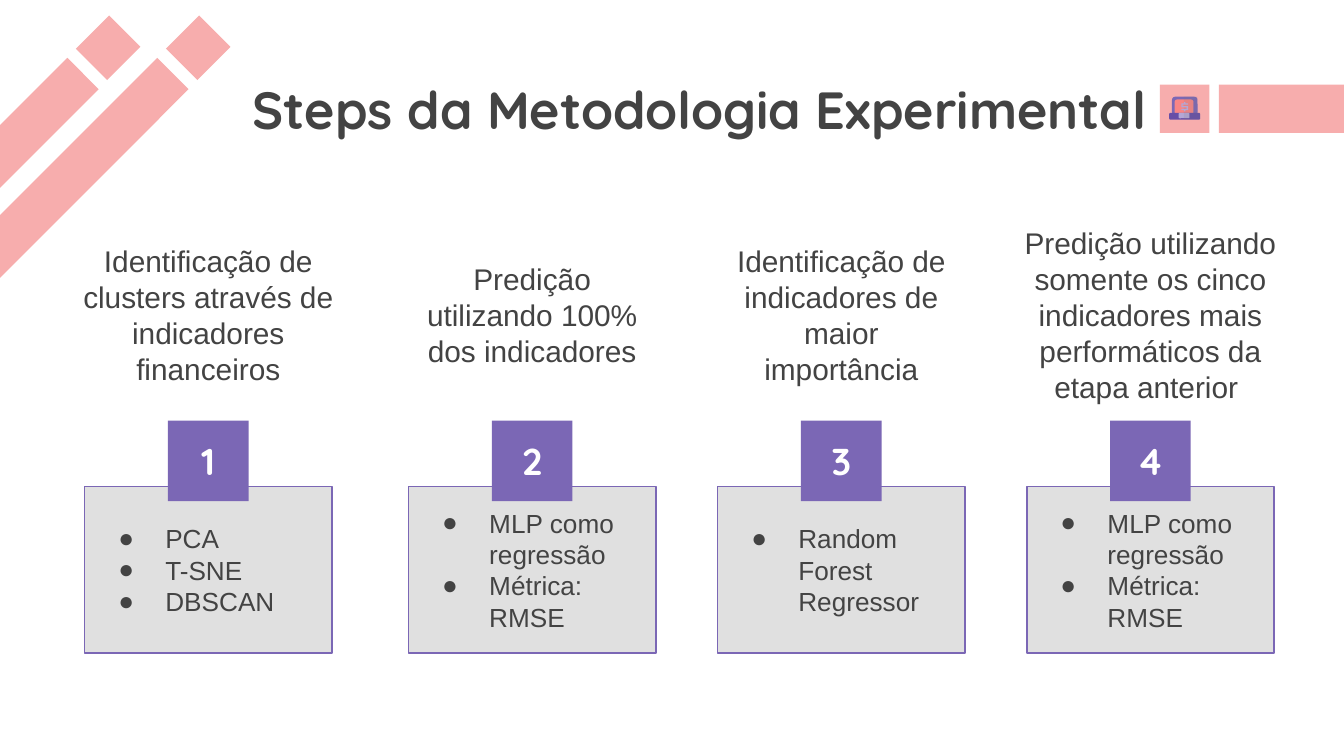
from lxml.etree import SubElement
from pptx import Presentation
from pptx.dml.color import RGBColor
from pptx.enum.shapes import MSO_SHAPE
from pptx.enum.text import MSO_ANCHOR, MSO_AUTO_SIZE, PP_ALIGN
from pptx.oxml.ns import qn
from pptx.util import Inches, Pt

PINK, PURPLE, GRAY = "F7ADAD", "7B67B5", "E0E0E0"
TEXT, WHITE, SHADE = "434343", "FFFFFF", "7B7B7B"

TITLE = "Steps da Metodologia Experimental"
# box left, caption width, caption, methods
STEPS = [
    (0.63, 2.07, "Identificação de clusters através de indicadores financeiros",
     ["PCA", "T-SNE", "DBSCAN"]),
    (3.04, 2.06, "Predição utilizando 100% dos indicadores",
     ["MLP como regressão", "Métrica: RMSE"]),
    (5.34, 1.84, "Identificação de indicadores de maior importância",
     ["Random Forest Regressor"]),
    (7.64, 2.3, "Predição utilizando somente os cinco indicadores mais performáticos da etapa anterior ",
     ["MLP como regressão", "Métrica: RMSE"]),
]
BOX_WIDTH, BADGE_SIZE = 1.84, 0.6

# left, top, width, height, rotation
BARS = [
    (1.3, 0.19, 0.35, 0.33, 315),
    (-1.29, 1.45, 3.02, 0.33, 315),
    (0.63, 0.19, 0.35, 0.33, 315),
    (-1.96, 1.45, 3.02, 0.33, 315),
    (9.07, 0.63, 0.93, 0.36, 0),
    (8.63, 0.63, 0.37, 0.36, 0),
]
# left, top, width, height, fill
LAPTOP_CENTER = 8.81
LAPTOP = [
    (8.72, 0.72, 0.19, 0.14, PURPLE),
    (8.74, 0.74, 0.14, 0.11, "F98585"),
    (8.7, 0.84, 0.23, 0.05, "674EA7"),
    (8.77, 0.84, 0.08, 0.04, "B4A7D6"),
]
# hundredths of an inch
COIN_SIGN = [
    (881, 76), (882, 76), (882, 77), (884, 77), (884, 78), (880, 78), (880, 79),
    (884, 79), (884, 82), (882, 82), (882, 83), (881, 83), (881, 82), (879, 82),
    (879, 81), (883, 81), (883, 80), (879, 80), (879, 77), (881, 77),
]


def color(value):
    return RGBColor.from_string(value)


def place(shape, left, top, width, height):
    shape.left, shape.top = Inches(left), Inches(top)
    shape.width, shape.height = Inches(width), Inches(height)


def paint(shape, fill):
    shape.shadow.inherit = False
    shape.fill.solid()
    shape.fill.fore_color.rgb = color(fill)
    shape.line.fill.background()


def add_block(slide, kind, left, top, width, height, fill):
    block = slide.shapes.add_shape(
        kind, Inches(left), Inches(top), Inches(width), Inches(height))
    paint(block, fill)
    return block


def write(shape, lines, size, align, font="Arial", ink=TEXT, bold=False):
    frame = shape.text_frame
    frame.text = "\n".join(lines)
    frame.word_wrap = True
    frame.auto_size = MSO_AUTO_SIZE.NONE
    frame.vertical_anchor = MSO_ANCHOR.MIDDLE
    frame.margin_left = frame.margin_right = Inches(0.1)
    frame.margin_top = frame.margin_bottom = Inches(0.1)
    for para in frame.paragraphs:
        para.alignment = align
        para.space_before = para.space_after = Pt(0)
        para.line_spacing = 1.0
        for span in para.runs:
            span.font.name, span.font.size = font, Pt(size)
            span.font.bold = bold
            span.font.color.rgb = color(ink)


def add_bullet(para):
    properties = para._p.get_or_add_pPr()
    properties.set("marL", str(Inches(0.5)))
    properties.set("indent", str(Inches(-0.35)))
    bullet_color = SubElement(properties, qn("a:buClr"))
    SubElement(bullet_color, qn("a:srgbClr"), val=TEXT)
    SubElement(properties, qn("a:buFont"), typeface="Arial")
    SubElement(properties, qn("a:buChar"), char="●")


def add_step(slide, body, number, left, caption_width, caption, methods):
    center = left + BOX_WIDTH / 2
    place(body, left, 3.62, BOX_WIDTH, 1.24)
    paint(body, GRAY)
    body.line.color.rgb = color(PURPLE)
    body.line.width = Pt(0.75)
    write(body, methods, 14, PP_ALIGN.LEFT)
    for para in body.text_frame.paragraphs:
        add_bullet(para)

    caption_box = slide.shapes.add_textbox(
        Inches(center - caption_width / 2), Inches(1.55), Inches(caption_width), Inches(1.58))
    write(caption_box, [caption], 16, PP_ALIGN.CENTER)

    badge = add_block(slide, MSO_SHAPE.RECTANGLE, center - BADGE_SIZE / 2, 3.13,
                      BADGE_SIZE, BADGE_SIZE, PURPLE)
    write(badge, [str(number)], 20, PP_ALIGN.CENTER, "Quicksand", WHITE, True)


def add_laptop(slide):
    for left, top, width, height, fill in LAPTOP:
        add_block(slide, MSO_SHAPE.ROUNDED_RECTANGLE, left, top, width, height, fill)
        half = add_block(slide, MSO_SHAPE.RECTANGLE, LAPTOP_CENTER, top,
                         left + width - LAPTOP_CENTER, height, SHADE)
        tint = half.fill._xPr.find(qn("a:solidFill"))[0]
        SubElement(tint, qn("a:alpha"), val="15000")
    builder = slide.shapes.build_freeform(*COIN_SIGN[0], scale=Inches(0.01))
    builder.add_line_segments(COIN_SIGN[1:], close=True)
    paint(builder.convert_to_shape(), "B4A7D6")


def main():
    deck = Presentation()
    deck.slide_width = Inches(10)
    deck.slide_height = deck.slide_width * 9 // 16
    slide = deck.slides.add_slide(deck.slide_layouts.get_by_name("Comparison"))

    for left, top, width, height, rotation in BARS:
        bar = add_block(slide, MSO_SHAPE.RECTANGLE, left, top, width, height, PINK)
        bar.rotation = rotation

    title = slide.shapes.title
    place(title, 0.87, 0.57, 7.76, 0.47)
    write(title, [TITLE], 28, PP_ALIGN.RIGHT, "Quicksand", bold=True)

    bodies = [holder for holder in slide.placeholders if holder.placeholder_format.idx > 0]
    for number, (body, step) in enumerate(zip(bodies, STEPS), 1):
        add_step(slide, body, number, *step)
    add_laptop(slide)

    deck.save("out.pptx")


if __name__ == "__main__":
    main()
